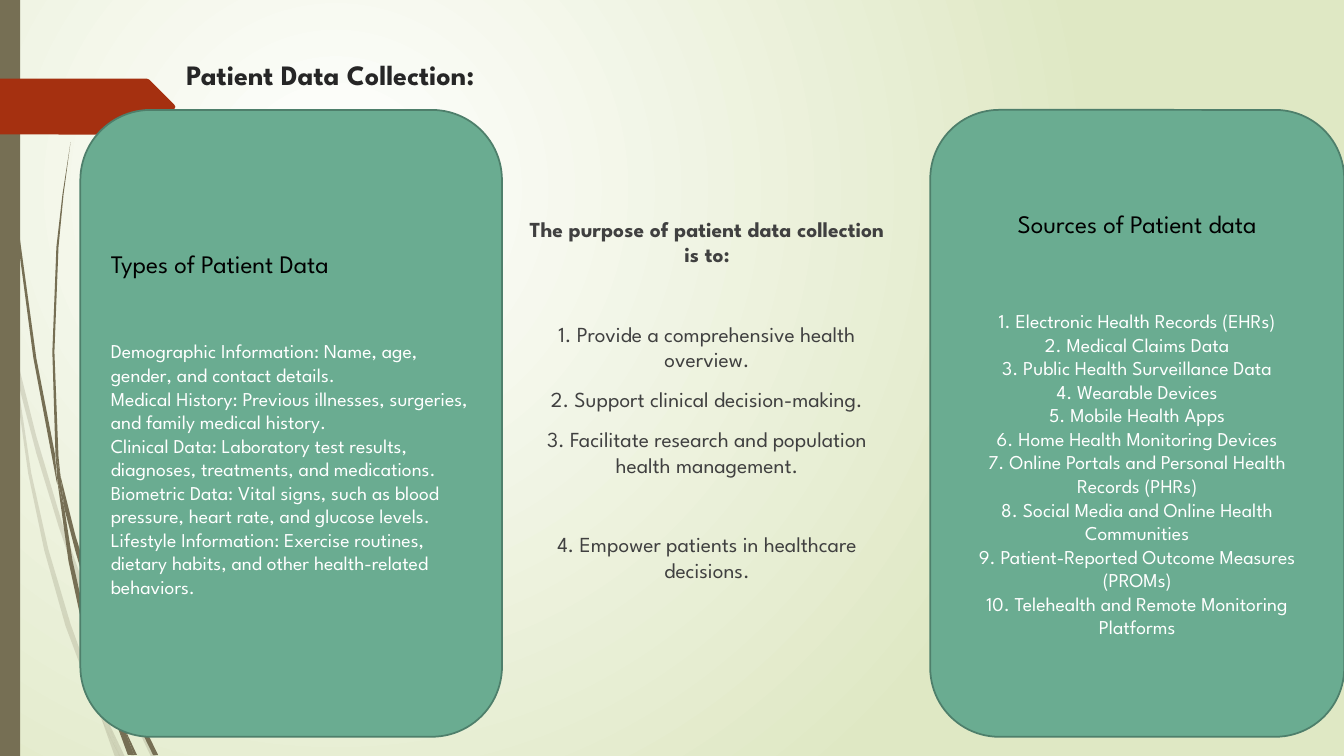
"""Build the patient data collection slide."""
from lxml import etree
from pptx import Presentation
from pptx.dml.color import RGBColor
from pptx.enum.shapes import MSO_SHAPE
from pptx.enum.text import MSO_ANCHOR, PP_ALIGN
from pptx.oxml.ns import qn
from pptx.util import Pt

RECT, ROUND = MSO_SHAPE.RECTANGLE, MSO_SHAPE.ROUNDED_RECTANGLE
LEFT, CENTER = PP_ALIGN.LEFT, PP_ALIGN.CENTER
TOP, MIDDLE = MSO_ANCHOR.TOP, MSO_ANCHOR.MIDDLE
FONT = "League Spartan"
BROWN, RED, GREEN, GREEN_EDGE = "766F54", "A53010", "6AAC91", "4E7F6B"
BLACK, WHITE, INK, GREY = "000000", "FFFFFF", "262626", "404040"

PALE_WISPS = [
    [(7.9, 252), (6.5, 231.8), (0, 203), (0, 215.3), (7.2, 247.7)],
    [(41.8, 375.8), (60.5, 431.3), (61.2, 421.9), (44.6, 374.4), (26, 311.9),
     (10.1, 248.4), (12.2, 270.7), (25.9, 323.6)],
    [(66.2, 437), (63.4, 429.1), (63.4, 439.2), (88.6, 499.7), (108, 540.7),
     (111.6, 540.7), (91.4, 498.2)],
    [(85.7, 540.7), (89.3, 540.7), (75.6, 511.9)],
    [(67, 491.8), (50.4, 445.7), (34.5, 392.2), (22.3, 337.7), (12.2, 270.7),
     (7.9, 252), (20.2, 338.4), (31.6, 393), (46.8, 447.1), (66.2, 499),
     (72.7, 514.1), (71.3, 509)],
    [(72.7, 514.1), (82.1, 540.7), (85.7, 540.7)],
    [(69.1, 498.2), (67, 491.8), (71.3, 509), (72.7, 514.1), (85.7, 540.7),
     (75.6, 511.9)],
]
DARK_WISPS = [
    [(5, 79.2), (12.2, 167.8), (23.8, 255.6), (40.3, 343.4), (41, 346.3),
     (39.6, 329), (39.6, 326.2), (25.9, 255.6), (13.7, 167), (5.8, 78.5),
     (3.6, 34.6), (2.9, 0), (2.2, 0), (2.9, 34.6)],
    [(63.4, 426.2), (76.3, 464.4), (76.3, 454.3), (67, 424.8), (54, 382.9),
     (43.2, 339.8), (46.1, 363.6), (54.2, 394.9)],
    [(81.4, 467.3), (79.2, 461.5), (79.9, 472.3), (95, 509.8), (109.4, 539.3),
     (113, 539.3), (97.9, 508.3)],
    [(79.2, 497.5), (70.6, 473), (60.1, 437), (51.8, 400.3), (46.1, 363.6),
     (41, 343.4), (49, 401), (56.9, 437.8), (67, 474.5), (79.9, 509.8),
     (84.2, 519.8), (83.5, 516.2)],
    [(43.2, 339.8), (41.8, 326.2), (38.9, 251.3), (41.8, 176.4), (45.4, 139),
     (50.4, 101.5), (44.6, 139), (40.3, 176.4), (37.4, 251.3), (39.6, 323.3)],
    [(95.8, 539.3), (97.9, 539.3), (87.8, 517.7)],
    [(41, 343.4), (46.1, 363.6), (43.2, 339.8), (39.6, 323.3)],
    [(84.2, 519.8), (91.4, 539.3), (94.3, 539.3)],
    [(83.5, 508.3), (79.2, 497.5), (83.5, 516.2), (84.2, 519.8), (93.6, 539.3),
     (95.8, 539.3), (87.8, 517.7)],
]
RED_TAG = [(124.6, 77.8), (106.6, 95.8), (105.1, 96.2), (0, 96), (0, 56.2),
           (105.1, 56.2), (106.6, 56.9), (124.6, 74.9), (125.3, 76.3)]

PURPOSES = [
    ("1. Provide a comprehensive health overview.", 38.4),
    ("2. Support clinical decision-making.", 10),
    ("3. Facilitate research and population health management.", 10),
    ("4. Empower patients in healthcare decisions.", 38.4),
]
DATA_TYPES = [
    "Demographic Information: Name, age, gender, and contact details.",
    "Medical History: Previous illnesses, surgeries, and family medical history.",
    "Clinical Data: Laboratory test results, diagnoses, treatments, and medications.",
    "Biometric Data: Vital signs, such as blood pressure, heart rate, and glucose levels.",
    "Lifestyle Information: Exercise routines, dietary habits, and other health-related behaviors.",
]
SOURCES = [
    "Electronic Health Records (EHRs)",
    "Medical Claims Data",
    "Public Health Surveillance Data",
    "Wearable Devices",
    "Mobile Health Apps",
    "Home Health Monitoring Devices",
    "Online Portals and Personal Health Records (PHRs)",
    "Social Media and Online Health Communities",
    "Patient-Reported Outcome Measures (PROMs)",
    "Telehealth and Remote Monitoring Platforms",
]


def rgb(value):
    return RGBColor.from_string(value)


class Canvas:
    """Draw styled elements on one slide."""

    def __init__(self, slide, font):
        self.slide, self.font = slide, font

    def glow(self, inner, outer):
        fill = self.slide.background.fill
        fill.gradient()
        for stop, color in zip(fill.gradient_stops, (inner, outer)):
            stop.color.rgb = rgb(color)
        lin = next(self.slide.element.iter(qn("a:lin")))
        circle = etree.Element(qn("a:path"), path="circle")
        etree.SubElement(circle, qn("a:fillToRect"),
                         l="50000", t="50000", r="100000", b="100000")
        lin.getparent().replace(lin, circle)

    def paint(self, sp, fill, line=None, alpha=None):
        sp.shadow.inherit = False
        sp.fill.solid()
        sp.fill.fore_color.rgb = rgb(fill)
        if alpha is not None:
            color = next(sp.element.spPr.iter(qn("a:srgbClr")))
            etree.SubElement(color, qn("a:alpha"), val=str(alpha * 1000))
        if line:
            sp.line.color.rgb = rgb(line)
            sp.line.width = Pt(1.25)
        else:
            sp.line.fill.background()

    def outline(self, points, fill, alpha=None):
        start, *rest = [(Pt(x), Pt(y)) for x, y in points]
        builder = self.slide.shapes.build_freeform(*start)
        builder.add_line_segments(rest)
        self.paint(builder.convert_to_shape(), fill, alpha=alpha)

    def shape(self, kind, box, fill, line=None):
        sp = self.slide.shapes.add_shape(kind, *map(Pt, box))
        self.paint(sp, fill, line)
        return sp

    def set_rows(self, sp, rows, align, anchor):
        tf = sp.text_frame
        tf.word_wrap = True
        tf.vertical_anchor = anchor
        tf.text = "\n".join(row[0] for row in rows)
        for p, (_, size, color, bold, before) in zip(tf.paragraphs, rows):
            p.alignment = align
            p.space_before = Pt(before)
            for r in p.runs:
                r.font.name, r.font.size = self.font, Pt(size)
                r.font.bold = bold
                r.font.color.rgb = rgb(color)

    def text(self, box, rows, align):
        sp = self.slide.shapes.add_textbox(*map(Pt, box))
        self.set_rows(sp, rows, align, TOP)

    def card(self, box, heading, items, gap, align):
        rows = [(heading, 18, BLACK, False, 0)]
        rows += [(item, 14, WHITE, False, 0 if i else gap)
                 for i, item in enumerate(items)]
        self.set_rows(self.shape(ROUND, box, GREEN, GREEN_EDGE), rows, align, MIDDLE)


def main():
    prs = Presentation()
    prs.slide_width, prs.slide_height = Pt(960), Pt(540)
    s = Canvas(prs.slides.add_slide(prs.slide_layouts[6]), FONT)

    s.glow(WHITE, "DFE8C4")
    for wisp in PALE_WISPS:
        s.outline(wisp, BROWN, alpha=20)
    for wisp in DARK_WISPS:
        s.outline(wisp, BROWN)
    s.shape(RECT, (0, 0, 14.4, 540), BROWN)
    s.outline(RED_TAG, RED)

    s.text((126, 37.4, 779.8, 41), [("Patient Data Collection:", 20, INK, True, 0)], LEFT)
    purpose = [("The purpose of patient data collection is to:", 15.3, GREY, True, 0)]
    purpose += [(item, 15.3, GREY, False, gap) for item, gap in PURPOSES]
    s.text((369.4, 150.5, 271.4, 277.2), purpose, CENTER)

    s.card((57.4, 78.5, 301.2, 447.8), "Types of Patient Data", DATA_TYPES, 43.4, LEFT)
    sources = [f"{i}. {item}" for i, item in enumerate(SOURCES, 1)]
    s.card((664.5, 78.5, 295.7, 447.8), "Sources of Patient data", sources, 50.6, CENTER)

    prs.save("out.pptx")


if __name__ == "__main__":
    main()
